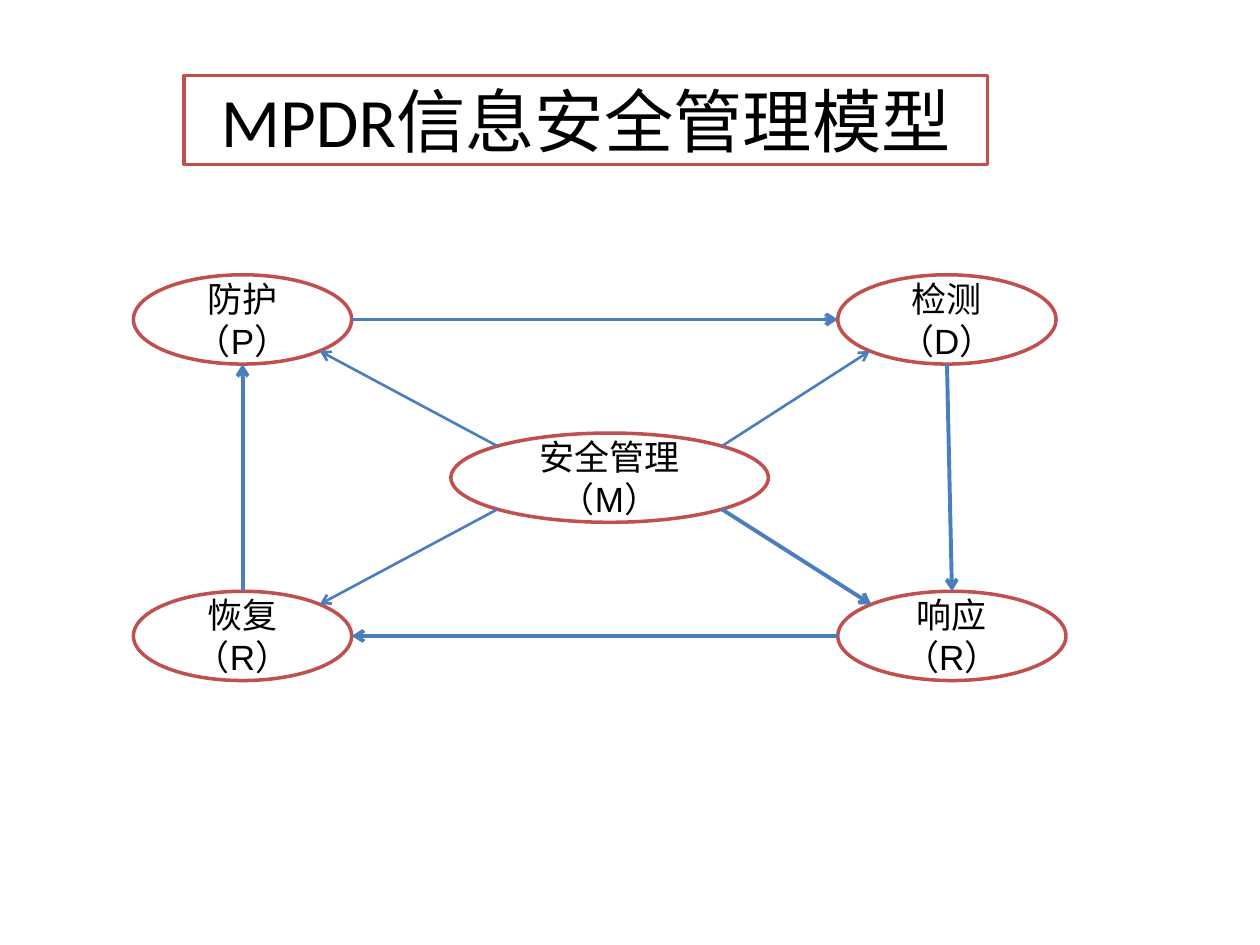
import math
from dataclasses import dataclass

from lxml import etree
from pptx import Presentation
from pptx import util as u
from pptx.dml.color import RGBColor
from pptx.enum import shapes, text
from pptx.oxml.ns import qn


@dataclass(frozen=True)
class Theme:
    paper: str = "FFFFFF"
    ink: str = "000000"
    edge: str = "C0504D"
    arrow: str = "4B7EBC"
    head: tuple = ("Calibri", 39.6)
    body: tuple = ("Arial", 20)
    thin: float = 1.5
    thick: float = 2.25


LOOK = Theme()
TITLE = ("MPDR信息安全管理模型", 3.71, 1.52, 16.2)

# key: (label, left, row, width), in cm
TOP, STEP, HIGH = 5.54, 3.19, 1.8
NODES = {
    "protect": ("防护（P）", 2.69, 0, 4.4),
    "manage": ("安全管理（M）", 9.09, 1, 6.4),
    "recover": ("恢复（R）", 2.69, 2, 4.4),
    "respond": ("响应（R）", 16.89, 2, 4.6),
    "detect": ("检测（D）", 16.89, 0, 4.4),
}

# Ellipse sites run anticlockwise from the top, 45 degrees apart
N, NW, W, SW, S, SE, E, NE = range(8)
LINKS = [
    ("protect", E, "detect", W, LOOK.thick),
    ("detect", S, "respond", N, LOOK.thick),
    ("recover", N, "protect", S, LOOK.thick),
    ("respond", W, "recover", E, LOOK.thick),
    ("manage", NE, "detect", SW, LOOK.thin),
    ("manage", NW, "protect", SE, LOOK.thin),
    ("manage", SW, "recover", NE, LOOK.thin),
    ("manage", SE, "respond", NW, LOOK.thick),
]


def color(code):
    return RGBColor.from_string(code)


def add_box(slide, kind, label, left, top, width, font):
    box = slide.shapes.add_shape(
        kind, u.Cm(left), u.Cm(top), u.Cm(width), u.Cm(HIGH))
    box.shadow.inherit = False
    box.fill.solid()
    box.fill.fore_color.rgb = color(LOOK.paper)
    box.line.color.rgb = color(LOOK.edge)
    box.line.width = u.Pt(2)
    frame = box.text_frame
    frame.word_wrap = True
    frame.vertical_anchor = text.MSO_ANCHOR.MIDDLE
    para = frame.paragraphs[0]
    para.alignment = text.PP_ALIGN.CENTER
    run = para.add_run()
    run.text = label
    run.font.name, size = font
    run.font.size = u.Pt(size)
    run.font.color.rgb = color(LOOK.ink)
    return box


def site(oval, spot):
    """Return the point of a connection site on an ellipse."""
    turn = math.radians(45 * spot)
    return (round(oval.left + oval.width / 2 * (1 - math.sin(turn))),
            round(oval.top + oval.height / 2 * (1 - math.cos(turn))))


def add_link(slide, start, out, end, into, width):
    line = slide.shapes.add_connector(
        shapes.MSO_CONNECTOR.STRAIGHT, *site(start, out), *site(end, into))
    line.line.color.rgb = color(LOOK.arrow)
    line.line.width = u.Pt(width)
    # begin_connect knows only four sites; an ellipse has eight
    joint = line._element.find(".//" + qn("p:cNvCxnSpPr"))
    for tag, oval, spot in (("a:stCxn", start, out), ("a:endCxn", end, into)):
        etree.SubElement(joint, qn(tag), id=str(oval.shape_id), idx=str(spot))
    props = line._element.spPr
    etree.SubElement(props.find(qn("a:ln")), qn("a:tailEnd"), type="arrow")
    etree.SubElement(props, qn("a:effectLst"))


def main():
    deck = Presentation()
    deck.slide_width, deck.slide_height = u.Cm(25.4), u.Cm(19.05)
    slide = deck.slides.add_slide(deck.slide_layouts[6])
    add_box(slide, shapes.MSO_SHAPE.RECTANGLE, *TITLE, LOOK.head)
    ovals = {
        key: add_box(slide, shapes.MSO_SHAPE.OVAL, label, left,
                     TOP + row * STEP, width, LOOK.body)
        for key, (label, left, row, width) in NODES.items()
    }
    for start, out, end, into, width in LINKS:
        add_link(slide, ovals[start], out, ovals[end], into, width)
    deck.save("out.pptx")


if __name__ == "__main__":
    main()
